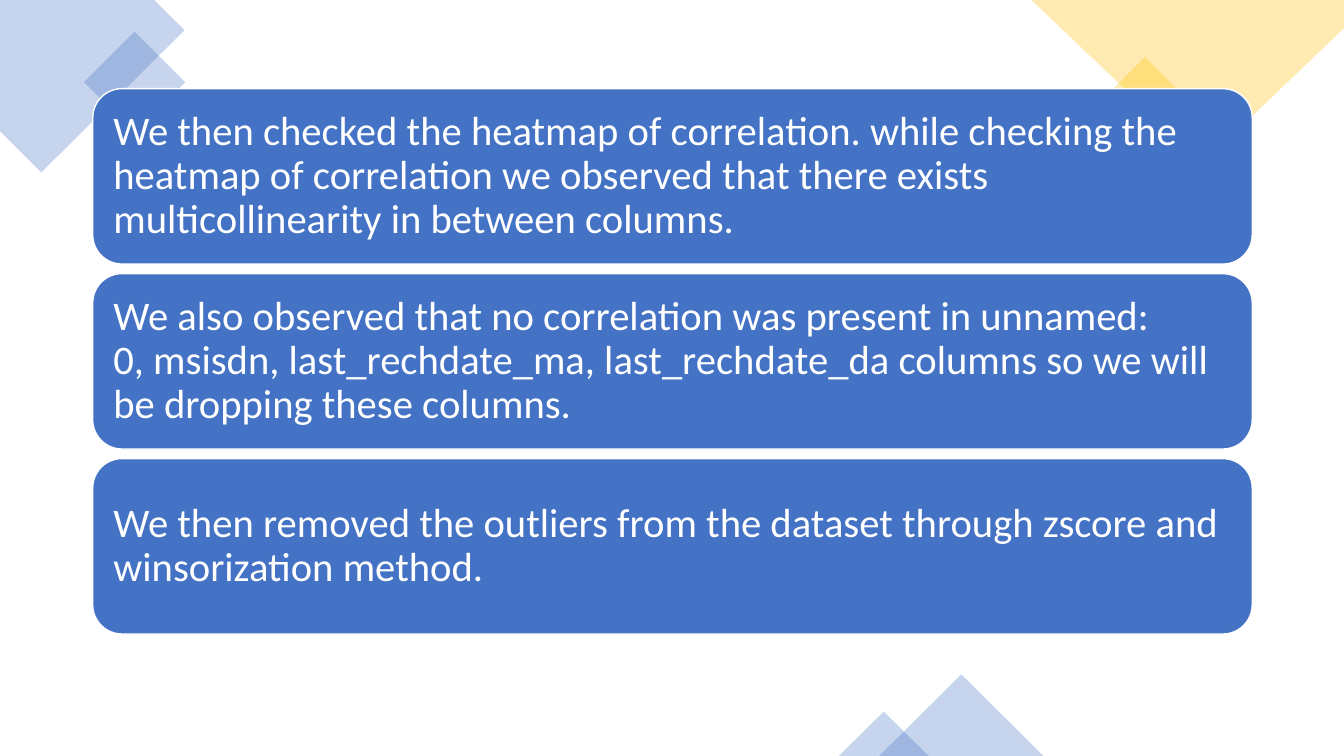
from lxml import etree
from pptx import Presentation
from pptx.dml.color import RGBColor
from pptx.enum.shapes import MSO_SHAPE
from pptx.enum.text import MSO_ANCHOR, PP_ALIGN
from pptx.oxml.ns import qn
from pptx.util import Inches, Pt

RECTANGLE = MSO_SHAPE.RECTANGLE
TRIANGLE = MSO_SHAPE.ISOSCELES_TRIANGLE
ROUNDED = MSO_SHAPE.ROUNDED_RECTANGLE
MIDDLE = MSO_ANCHOR.MIDDLE
LEFT = PP_ALIGN.LEFT

BLUE = RGBColor(0x44, 0x72, 0xC4)
GOLD = RGBColor(0xFF, 0xC0, 0x00)
WHITE = RGBColor(0xFF, 0xFF, 0xFF)

CORNER_BLUE = [(0, 0), (1.53, 0), (1.83, 0.3), (0.41, 1.71), (0, 1.3)]
CORNER_GOLD = [(13.33, 0), (10.23, 0), (11.93, 1.62), (13.33, 0.28)]

FIRST_TOP, LAST_TOP = 0.88, 4.55
FINDINGS = [
    "We then checked the heatmap of correlation. while checking the heatmap of "
    "correlation we observed that there exists multicollinearity in between columns.",
    "We also observed that no correlation was present in unnamed: "
    "0,\u00a0msisdn,\u00a0last_rechdate_ma,\u00a0last_rechdate_da\u00a0columns "
    "so we will be dropping these columns.",
    "We then removed the outliers from the dataset through\u00a0zscore and "
    "winsorization method.",
]


def make_translucent(shape, color):
    shape.shadow.inherit = False
    shape.fill.solid()
    shape.fill.fore_color.rgb = color
    shape.line.fill.background()
    color_element = shape.fill._xPr.find(qn("a:solidFill"))[0]
    etree.SubElement(color_element, qn("a:alpha")).set("val", "30000")


def add_corner(slide, points, color):
    corners = [(Inches(x), Inches(y)) for x, y in points]
    builder = slide.shapes.build_freeform(*corners[0])
    builder.add_line_segments(corners[1:], close=True)
    make_translucent(builder.convert_to_shape(), color)


def add_accent(slide, kind, left, top, width, height, color, rotation=0):
    shape = slide.shapes.add_shape(
        kind, Inches(left), Inches(top), Inches(width), Inches(height))
    shape.rotation = rotation
    make_translucent(shape, color)


def add_finding(slide, top, text):
    shape = slide.shapes.add_shape(
        ROUNDED, Inches(0.92), Inches(top), Inches(11.5), Inches(1.74))
    shape.shadow.inherit = False
    shape.fill.solid()
    shape.fill.fore_color.rgb = BLUE
    shape.line.color.rgb = WHITE
    shape.line.width = Pt(1)
    frame = shape.text_frame
    frame.word_wrap = True
    frame.vertical_anchor = MIDDLE
    frame.margin_left = frame.margin_right = Inches(0.12)
    frame.margin_top = frame.margin_bottom = Inches(0.12)
    paragraph = frame.paragraphs[0]
    paragraph.alignment = LEFT
    paragraph.line_spacing = 0.9
    run = paragraph.add_run()
    run.text = text
    run.font.name = "Calibri"
    run.font.size = Pt(29)
    run.font.color.rgb = WHITE


def main():
    presentation = Presentation()
    presentation.slide_width = Inches(13.33)
    presentation.slide_height = Inches(7.5)
    slide = presentation.slides.add_slide(presentation.slide_layouts[6])

    add_corner(slide, CORNER_BLUE, BLUE)
    add_accent(slide, RECTANGLE, 0.98, 0.46, 0.71, 0.71, BLUE, 315)
    add_accent(slide, RECTANGLE, 10.98, 0.72, 0.75, 0.75, GOLD, 315)
    add_corner(slide, CORNER_GOLD, GOLD)
    add_accent(slide, TRIANGLE, 8.72, 6.69, 1.63, 0.81, BLUE)
    add_accent(slide, TRIANGLE, 8.32, 7.06, 0.89, 0.44, BLUE)

    pitch = (LAST_TOP - FIRST_TOP) / (len(FINDINGS) - 1)
    for index, text in enumerate(FINDINGS):
        add_finding(slide, FIRST_TOP + index * pitch, text)

    presentation.save("out.pptx")


main()
